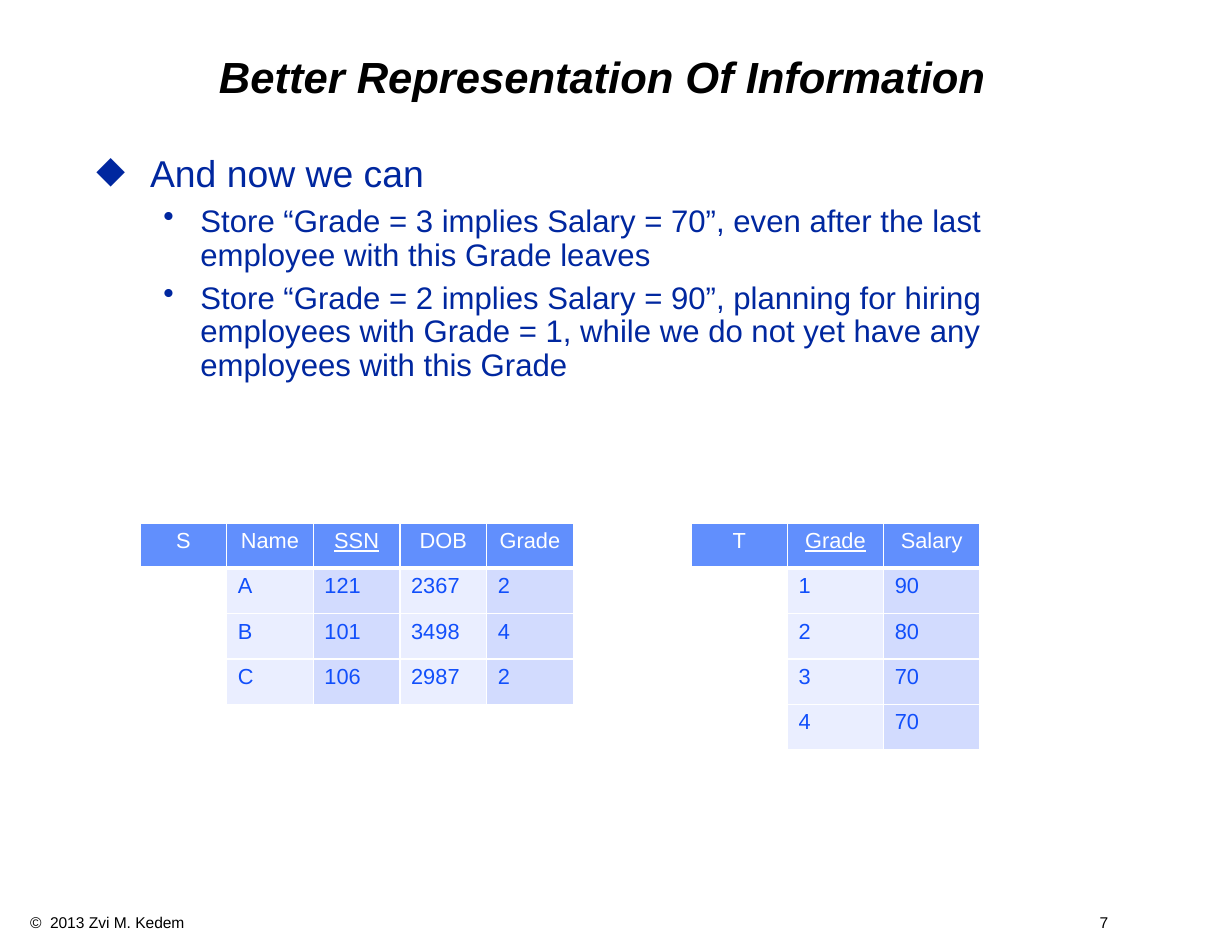
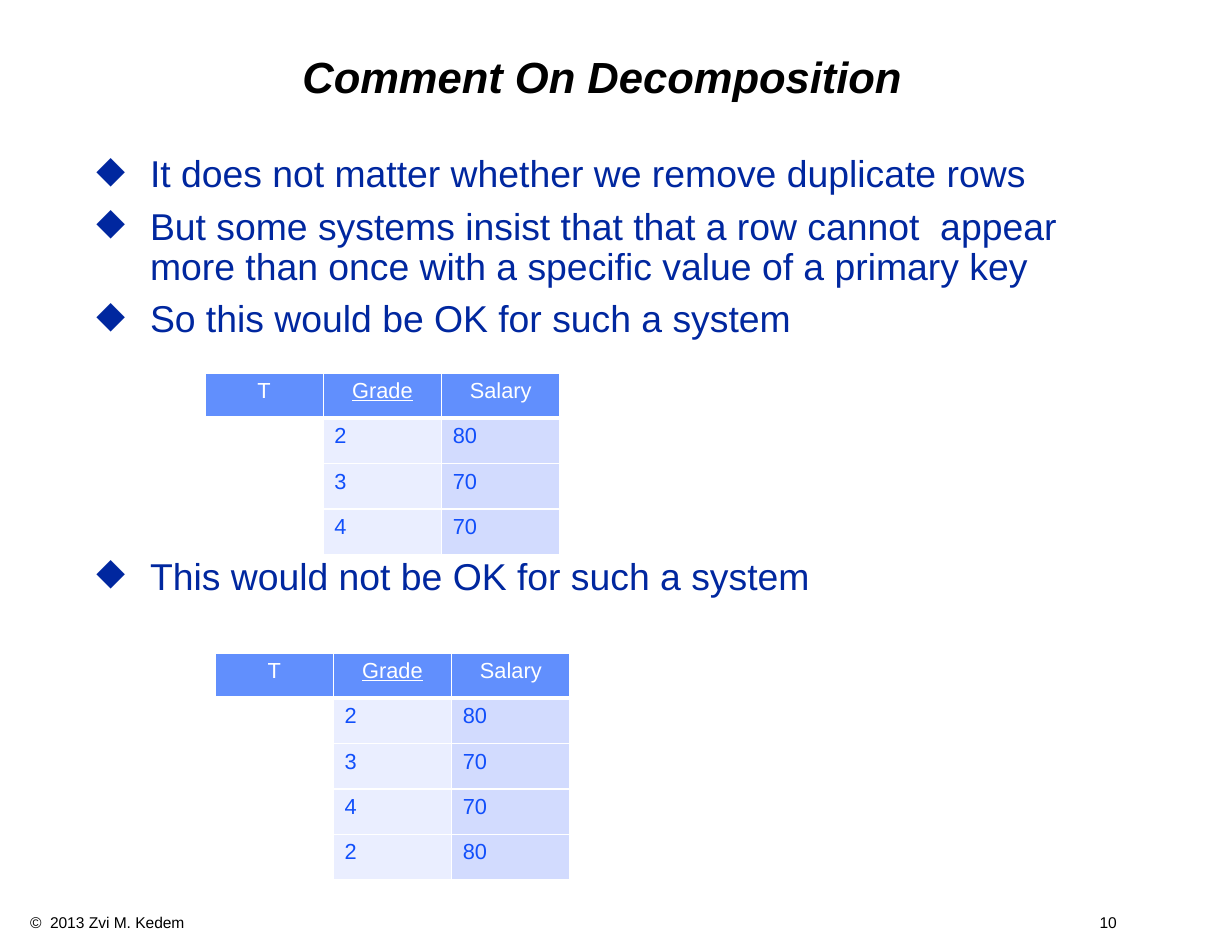
from lxml.etree import SubElement
from pptx import Presentation
from pptx.dml.color import RGBColor
from pptx.enum.text import MSO_ANCHOR as Anchor, MSO_AUTO_SIZE as AutoSize, PP_ALIGN as Align
from pptx.oxml import parse_xml
from pptx.oxml.ns import nsdecls, qn
from pptx.util import Inches, Pt

FONT = "Arial"
BLACK, WHITE, NAVY = "000000", "FFFFFF", "00279F"
HEADER_FILL, CELL_TEXT = "618FFD", "114FFB"
COLUMN_FILLS = ("D2DBFE", "EAEEFF")  # even and odd columns
ROW_HEIGHT = Inches(1.62) // 4

# Per bullet level: symbol, left indent, hanging, text size, space before
LEVELS = (
    ("◆", 0.48, 0.48, 24, 7.7),
    ("•", 0.93, 0.33, 20, 6.2),
)


def rgb(hex_color):
    return RGBColor.from_string(hex_color)


class Deck:
    """Holds the shared style and the current slide."""

    def __init__(self):
        self.prs = Presentation()
        self.prs.slide_width, self.prs.slide_height = Inches(11), Inches(8.5)
        self.slide = None

    def style(self, paragraph, size, color, bold=False, italic=False):
        for run in paragraph.runs:
            font = run.font
            font.name, font.size = FONT, Pt(size)
            font.bold, font.italic = bold, italic
            font.color.rgb = rgb(color)

    def set_margins(self, frame):
        frame.word_wrap = True
        frame.margin_left = frame.margin_right = Inches(0.11)
        frame.margin_top = frame.margin_bottom = Inches(0.06)

    def add_slide(self, title, number):
        self.slide = self.prs.slides.add_slide(self.prs.slide_layouts[5])
        self.title(title)
        self.footer(number)

    def title(self, text):
        heading = self.slide.shapes.title
        heading.left, heading.top = Inches(0.75), Inches(0.25)
        heading.width, heading.height = Inches(9.25), Inches(0.92)
        frame = heading.text_frame
        frame.text = text
        frame.auto_size = AutoSize.NONE
        frame.vertical_anchor = Anchor.MIDDLE
        self.set_margins(frame)
        paragraph = frame.paragraphs[0]
        paragraph.alignment, paragraph.line_spacing = Align.CENTER, 0.9
        self.style(paragraph, 28, BLACK, bold=True, italic=True)

    def footer(self, number):
        box = self.slide.shapes.add_textbox(Inches(0.17), Inches(8.1), Inches(10.34), Inches(0.27))
        frame = box.text_frame
        frame.word_wrap = True
        frame.text = f"©  2013 Zvi M. Kedem\t{number}"
        paragraph = frame.paragraphs[0]
        tabs = SubElement(paragraph._p.get_or_add_pPr(), qn("a:tabLst"))
        SubElement(tabs, qn("a:tab"), pos=str(Inches(9.55)), algn="l")
        self.style(paragraph, 10, BLACK)

    def bullets(self, items):
        """Each item is (level, text) or (level, text, space before)."""
        box = self.slide.shapes.add_textbox(Inches(0.75), Inches(1.33), Inches(9.33), Inches(6.67))
        frame = box.text_frame
        self.set_margins(frame)
        for index, (level, text, *gap) in enumerate(items):
            symbol, indent, hanging, size, space = LEVELS[level]
            paragraph = frame.add_paragraph() if index else frame.paragraphs[0]
            paragraph.text = text
            paragraph.level = level
            paragraph.line_spacing = 0.9
            if index:
                paragraph.space_before = Pt(gap[0] if gap else space)
            props = paragraph._p.get_or_add_pPr()
            props.set("marL", str(Inches(indent)))
            props.set("indent", str(-Inches(hanging)))
            bullet_color = SubElement(props, qn("a:buClr"))
            SubElement(bullet_color, qn("a:srgbClr"), val=NAVY)
            SubElement(props, qn("a:buChar"), char=symbol)
            self.style(paragraph, size, NAVY)

    def borders(self, cell, bottom):
        props = cell._tc.get_or_add_tcPr()
        for index, (side, width) in enumerate(zip("LRTB", (1, 1, 1, bottom))):
            props.insert(index, parse_xml(
                f'<a:ln{side} {nsdecls("a")} w="{Pt(width)}"><a:solidFill>'
                f'<a:srgbClr val="{WHITE}"/></a:solidFill></a:ln{side}>'))

    def relation(self, left, top, width, name, columns, key, rows):
        """Table whose first column holds only the relation's name."""
        grid = [(name, *columns)] + [("", *row) for row in rows]
        table = self.slide.shapes.add_table(
            len(grid), len(grid[0]), Inches(left), Inches(top),
            Inches(width), ROW_HEIGHT * len(grid)).table
        for row in table.rows:
            row.height = ROW_HEIGHT
        for r, values in enumerate(grid):
            for c, value in enumerate(values):
                cell = table.cell(r, c)
                cell.text = value
                paragraph = cell.text_frame.paragraphs[0]
                self.style(paragraph, 14, CELL_TEXT if r else WHITE)
                if r == 0:
                    fill = HEADER_FILL
                    paragraph.alignment = Align.CENTER
                    paragraph.runs[0].font.underline = value == key
                else:
                    fill = COLUMN_FILLS[c % 2] if c else WHITE
                cell.fill.solid()
                cell.fill.fore_color.rgb = rgb(fill)
                self.borders(cell, bottom=1 if r else 3)

    def grade_salary(self, left, top, width, rows):
        self.relation(left, top, width, "T", ("Grade", "Salary"), "Grade", rows)


def main():
    deck = Deck()
    salaries = [("2", "80"), ("3", "70"), ("4", "70")]

    # Decomposed relations
    deck.add_slide("Better Representation Of Information", 7)
    deck.bullets([
        (0, "And now we can"),
        (1, "Store “Grade = 3 implies Salary = 70”, even after the last "
            "employee with this Grade leaves"),
        (1, "Store “Grade = 2 implies Salary = 90”, planning for hiring employees "
            "with Grade = 1, while we do not yet have any employees with this Grade"),
    ])
    deck.relation(1.25, 4.67, 3.87, "S", ("Name", "SSN", "DOB", "Grade"), "SSN", [
        ("A", "121", "2367", "2"),
        ("B", "101", "3498", "4"),
        ("C", "106", "2987", "2"),
    ])
    deck.grade_salary(6.17, 4.67, 2.58, [("1", "90")] + salaries[:0] + [
        ("2", "80"), ("3", "70"), ("4", "70")])

    # Duplicate rows
    deck.add_slide("Comment On Decomposition", 10)
    deck.bullets([
        (0, "It does not matter whether we remove duplicate rows"),
        (0, "But some systems insist that that a row cannot  appear more than once "
            "with a specific value of a primary key"),
        (0, "So this would be OK for such a system"),
        (0, "This would not be OK for such a system", 139.5),
    ])
    deck.grade_salary(1.83, 3.33, 3.17, salaries)
    deck.grade_salary(1.92, 5.83, 3.17, salaries + salaries[:1])

    deck.prs.save("out.pptx")


if __name__ == "__main__":
    main()
